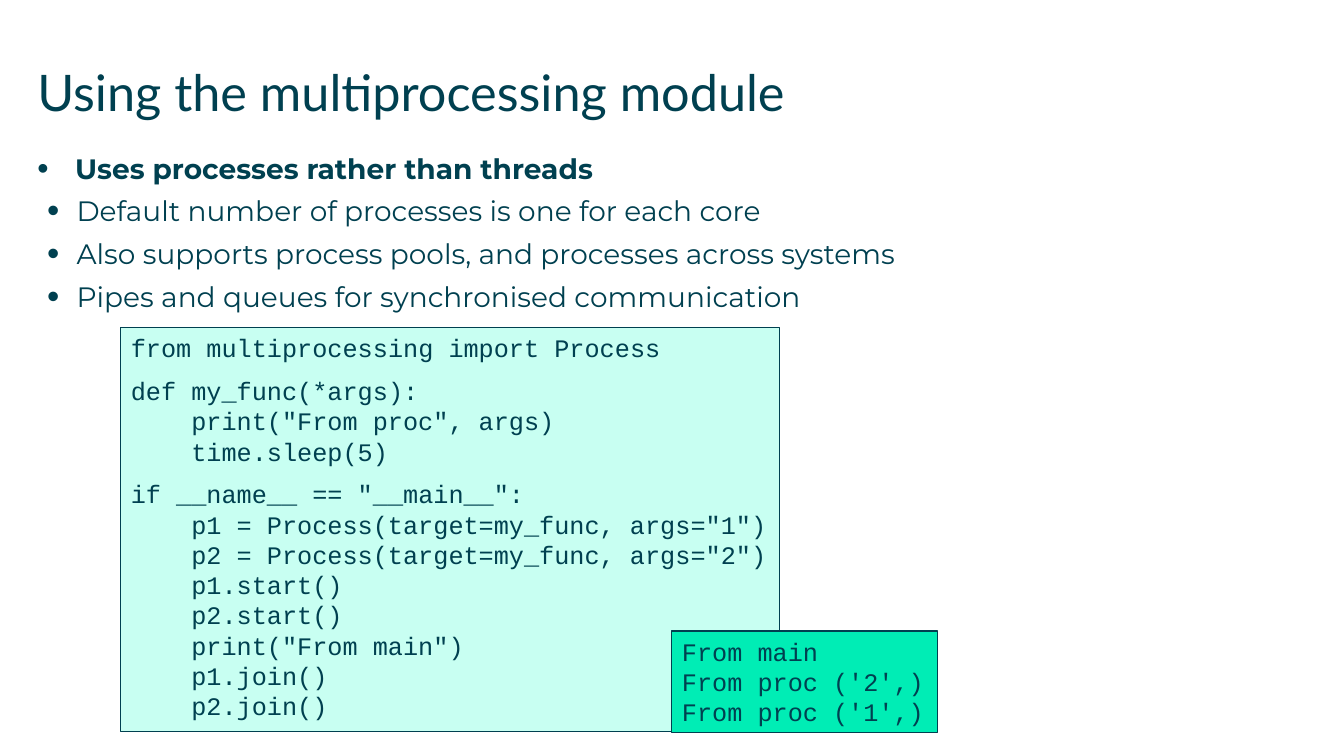
from lxml.etree import SubElement
from pptx import Presentation
from pptx.dml.color import RGBColor
from pptx.enum.shapes import MSO_SHAPE
from pptx.enum.text import MSO_ANCHOR, MSO_AUTO_SIZE, PP_ALIGN
from pptx.oxml.ns import qn
from pptx.util import Inches, Pt

WIDTH, HEIGHT = Inches(13.33), Inches(7.5)
INK, MINT, GREEN = "004050", "C8FFF2", "00EDB5"
CODE_SIZE = 18
INDENT_STEP = 4 * 0.6 * CODE_SIZE
BLOCK_GAP = 9

POINTS = [
    "Uses processes rather than threads",
    "Default number of processes is one for each core",
    "Also supports process pools, and processes across systems",
    "Pipes and queues for synchronised communication",
]
PROGRAM = [
    ["from multiprocessing import Process"],
    ["def my_func(*args):", 'print("From proc", args)', "time.sleep(5)"],
    [
        'if __name__ == "__main__":',
        'p1 = Process(target=my_func, args="1")',
        'p2 = Process(target=my_func, args="2")',
        "p1.start()",
        "p2.start()",
        'print("From main")',
        "p1.join()",
        "p2.join()",
    ],
]
OUTPUT = [["From main"], ["From proc ('2',)"], ["From proc ('1',)"]]


def color(value):
    """Turn a hex string into a colour."""
    return RGBColor.from_string(value)


def area(left, top, width, height):
    """Turn percentages of the slide into a position and size."""
    shares = zip((left, top, width, height), (WIDTH, HEIGHT) * 2)
    return [round(share / 100 * full) for share, full in shares]


def style(paragraph, family, size, bold=False):
    """Set the font of a whole paragraph."""
    font = paragraph.font
    font.name, font.size, font.bold = family, Pt(size), bold
    font.color.rgb = color(INK)


def write_lines(frame, lines):
    """Fill a frame with one paragraph per line and yield each one."""
    for number, line in enumerate(lines):
        paragraph = frame.add_paragraph() if number else frame.paragraphs[0]
        paragraph.text = line
        paragraph.alignment = PP_ALIGN.LEFT
        yield paragraph


def add_text(slide, place):
    """Add a wrapping text area without margins and return its frame."""
    frame = slide.shapes.add_textbox(*area(*place)).text_frame
    frame.word_wrap = True
    frame.margin_left = frame.margin_top = 0
    frame.margin_right = frame.margin_bottom = 0
    return frame


def set_indent(paragraph, margin, first=0):
    """Set the left margin and first-line indent in points."""
    properties = paragraph._p.get_or_add_pPr()
    properties.set("marL", str(Pt(margin)))
    properties.set("indent", str(Pt(first)))
    return properties


def add_bullet(paragraph, margin, hang, percent):
    """Give a paragraph a hanging round bullet."""
    properties = set_indent(paragraph, margin, -hang)
    SubElement(properties, qn("a:buSzPct"), val=str(percent * 1000))
    SubElement(properties, qn("a:buFont"), typeface="Arial")
    SubElement(properties, qn("a:buChar"), char="•")


def add_title(slide, text, place):
    """Add the slide heading."""
    for heading in write_lines(add_text(slide, place), [text]):
        style(heading, "Lato", 36)


def add_points(slide, points, place):
    """Add a bold leading point with its supporting points."""
    frame = add_text(slide, place)
    for number, point in enumerate(write_lines(frame, points)):
        point.space_after = Pt(6.5)
        add_bullet(point, *((28, 21, 125) if number else (27, 27, 115)))
        style(point, "Montserrat", 20, bold=number == 0)


def add_listing(slide, blocks, place, fill, gap=0):
    """Add a box of code whose blocks indent all but their first line."""
    box = slide.shapes.add_shape(MSO_SHAPE.RECTANGLE, *area(*place))
    box.shadow.inherit = False
    box.fill.solid()
    box.fill.fore_color.rgb = color(fill)
    box.line.color.rgb = color(INK)
    box.line.width = Pt(0.75)
    frame = box.text_frame
    frame.word_wrap = False
    frame.auto_size = MSO_AUTO_SIZE.SHAPE_TO_FIT_TEXT
    frame.vertical_anchor = MSO_ANCHOR.TOP
    rows = [(depth, line) for block in blocks for depth, line in enumerate(block)]
    paragraphs = write_lines(frame, [line for _, line in rows])
    for number, (paragraph, (depth, _)) in enumerate(zip(paragraphs, rows)):
        set_indent(paragraph, INDENT_STEP if depth else 0)
        if number and depth == 0:
            paragraph.space_before = Pt(gap)
        style(paragraph, "Courier New", CODE_SIZE)


def main():
    """Build the slide and save it."""
    deck = Presentation()
    deck.slide_width, deck.slide_height = WIDTH, HEIGHT
    slide = deck.slides.add_slide(deck.slide_layouts[6])
    add_title(slide, "Using the multiprocessing module", (2.78, 8.13, 94.5, 11.73))
    add_points(slide, POINTS, (2.78, 20, 94.5, 72.27))
    add_listing(slide, PROGRAM, (9, 43.33, 49, 53.47), MINT, BLOCK_GAP)
    add_listing(slide, OUTPUT, (50, 83.47, 19.73, 13.47), GREEN)
    deck.save("out.pptx")


if __name__ == "__main__":
    main()
